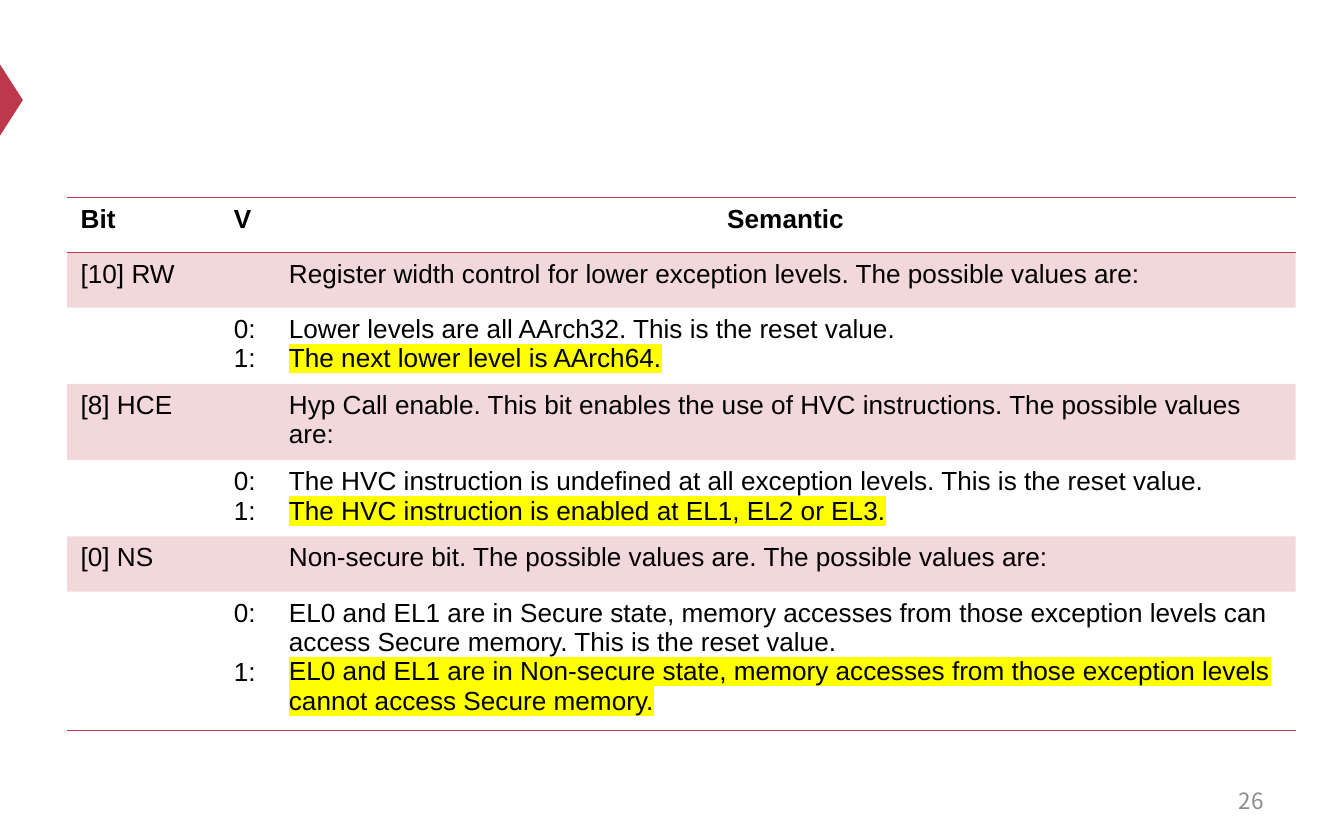
from lxml.etree import SubElement
from pptx import Presentation
from pptx.dml.color import RGBColor
from pptx.enum.shapes import MSO_SHAPE as Shape
from pptx.enum.text import MSO_ANCHOR as Anchor, PP_ALIGN as Align
from pptx.oxml import parse_xml
from pptx.oxml.ns import nsdecls, qn
from pptx.util import Pt

PX = 9144
RED = RGBColor(0xBE, 0x38, 0x4B)
BLACK = RGBColor(0, 0, 0)
GRAY = RGBColor(0x8C, 0x8C, 0x8C)
YELLOW = RGBColor(0xFF, 0xFF, 0)
NO_STYLE = "{2D5ABB26-0587-4C30-8999-92F81FD0307C}"

FIELDS = [
    ("[10] RW",
     "Register width control for lower exception levels. The possible values are:",
     "Lower levels are all AArch32. This is the reset value.",
     "The next lower level is AArch64.", 0),
    ("[8] HCE",
     "Hyp Call enable. This bit enables the use of HVC instructions. The possible values are:",
     "The HVC instruction is undefined at all exception levels. This is the reset value.",
     "The HVC instruction is enabled at EL1, EL2 or EL3.", 0),
    ("[0] NS",
     "Non-secure bit. The possible values are. The possible values are:",
     "EL0 and EL1 are in Secure state, memory accesses from those exception levels "
     "can access Secure memory. This is the reset value.",
     "EL0 and EL1 are in Non-secure state, memory accesses from those exception levels "
     "cannot access Secure memory.", 16),
]


class Deck:
    font = "Arial"
    size = 14

    def __init__(self, width, height):
        self.prs = Presentation()
        self.prs.slide_width, self.prs.slide_height = width * PX, height * PX
        self.slide = self.prs.slides.add_slide(self.prs.slide_layouts[6])

    def box(self, *lengths):
        return [n * PX for n in lengths]

    def run(self, p, text, size=size, font=font, color=BLACK, bold=False, mark=None):
        r = p.add_run()
        r.text = text
        r.font.size, r.font.bold = Pt(size), bold
        r.font.color.rgb = color
        r.font.name = font
        if mark is not None:
            fill = r.font._element.find(qn("a:solidFill"))
            fill.addnext(parse_xml(
                f'<a:highlight {nsdecls("a")}><a:srgbClr val="{mark}"/></a:highlight>'))

    def marker(self, x, y, w, h):
        sp = self.slide.shapes.add_shape(Shape.ISOSCELES_TRIANGLE, *self.box(x, y, w, h))
        sp.shadow.inherit = False
        sp.rotation = 90
        sp.fill.solid()
        sp.fill.fore_color.rgb = RED
        sp.line.fill.background()

    def number(self, x, y, w, h, text):
        tf = self.slide.shapes.add_textbox(*self.box(x, y, w, h)).text_frame
        tf.word_wrap = True
        tf.vertical_anchor = Anchor.MIDDLE
        p = tf.paragraphs[0]
        p.alignment = Align.RIGHT
        self.run(p, text, 12, "Noto Sans CJK SC", GRAY)

    def table(self, x, y, widths, row_h, rows):
        shape = self.slide.shapes.add_table(
            rows, len(widths), *self.box(x, y, sum(widths), rows * row_h))
        tbl = shape.table
        tbl.first_row = tbl.horz_banding = False
        tbl._tbl.tblPr.find(qn("a:tableStyleId")).text = NO_STYLE
        for col, w in zip(tbl.columns, widths):
            col.width = w * PX
        for row in tbl.rows:
            row.height = row_h * PX
            for cell in row.cells:
                cell.fill.background()
        return tbl

    def lines(self, cell, *texts, bold=False, align=Align.LEFT, mark=None, gap=0):
        tf = cell.text_frame
        for i, text in enumerate(texts):
            p = tf.add_paragraph() if i else tf.paragraphs[0]
            p.alignment = align
            if i and gap:
                p.space_before = Pt(gap)
            self.run(p, text, bold=bold, mark=mark if i else None)

    def tint(self, cell):
        cell.fill.solid()
        cell.fill.fore_color.rgb = RED
        color = cell._tc.tcPr.find(qn("a:solidFill"))[0]
        SubElement(color, qn("a:alpha"), val="20000")

    def rule(self, row, *sides):
        for cell in row.cells:
            for i, side in enumerate(sides):
                cell._tc.get_or_add_tcPr().insert(i, parse_xml(
                    f'<a:ln{side} {nsdecls("a")} w="12700"><a:solidFill>'
                    f'<a:srgbClr val="{RED}"/></a:solidFill></a:ln{side}>'))


def main():
    deck = Deck(1000, 625)
    deck.marker(-18, 66, 53, 17)
    deck.number(717, 579, 233, 33, "26")
    tbl = deck.table(50, 147, [114, 41, 759], 41, 1 + 2 * len(FIELDS))
    for c, head in enumerate(("Bit", "V", "Semantic")):
        deck.lines(tbl.cell(0, c), head, bold=True,
                   align=Align.CENTER if c == 2 else Align.LEFT)
    for i, (bit, meaning, zero, one, gap) in enumerate(FIELDS):
        top = 1 + 2 * i
        deck.lines(tbl.cell(top, 0), bit)
        deck.lines(tbl.cell(top, 2), meaning)
        for cell in tbl.rows[top].cells:
            deck.tint(cell)
        deck.lines(tbl.cell(top + 1, 1), "0:", "1:", gap=gap)
        deck.lines(tbl.cell(top + 1, 2), zero, one, mark=YELLOW)
    deck.rule(tbl.rows[0], "T", "B")
    deck.rule(tbl.rows[2 * len(FIELDS)], "B")
    deck.prs.save("out.pptx")


if __name__ == "__main__":
    main()
